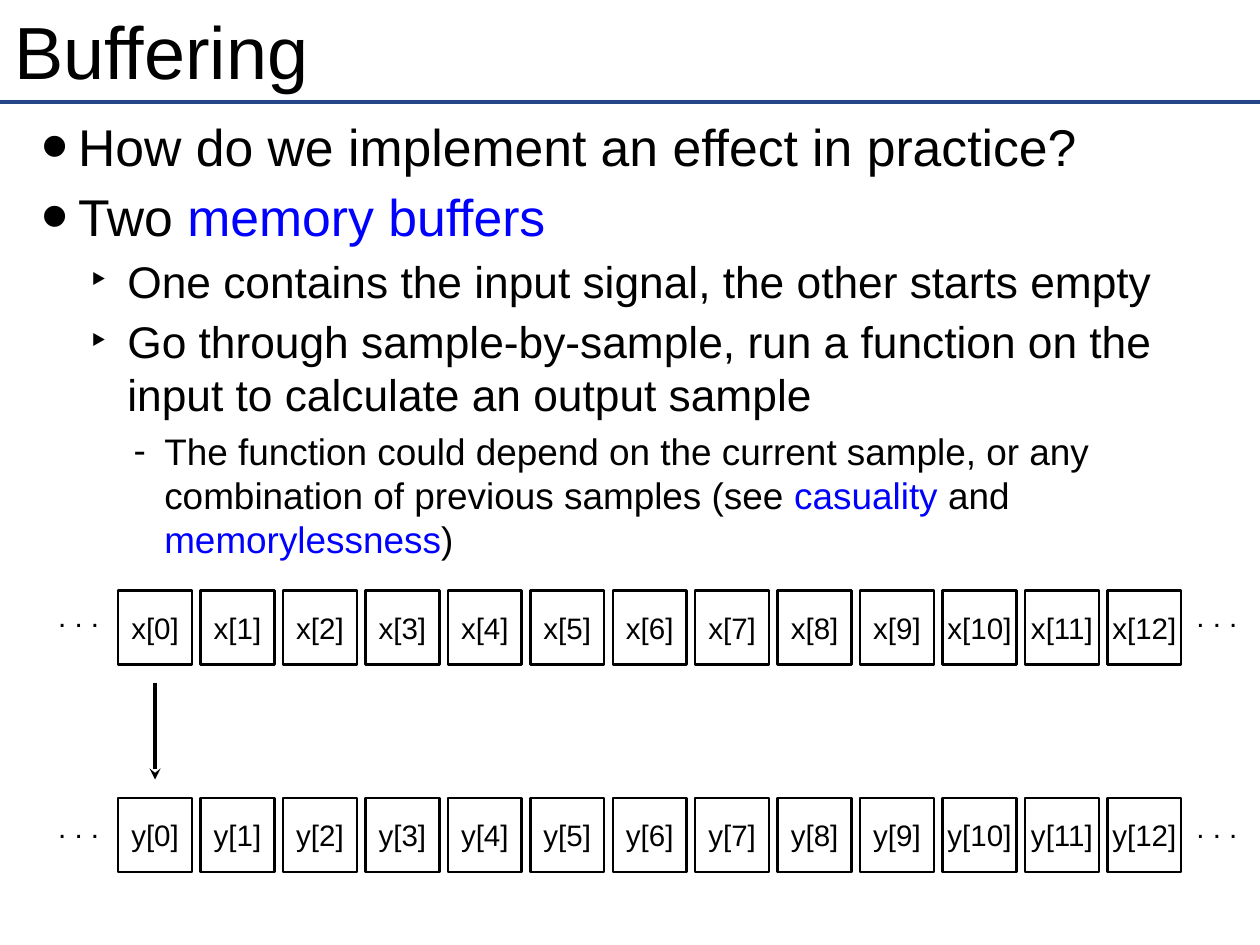
from dataclasses import dataclass

from lxml import etree
from pptx import Presentation
from pptx import util as u
from pptx.dml.color import RGBColor
from pptx.enum import shapes, text
from pptx.oxml.ns import qn


@dataclass(frozen=True)
class Theme:
    """Font, colours and type sizes of the slide."""
    font: str = "Arial"
    ink: RGBColor = RGBColor(0, 0, 0)
    accent: RGBColor = RGBColor(0, 0, 255)
    rule: RGBColor = RGBColor(0x25, 0x47, 0x89)
    title: int = 60
    levels: tuple = (42, 36, 30)
    label: int = 24


THEME = Theme()
LEVELS = (("•", 50, 30, 150), ("‣", 90, 30, 100), ("-", 120, 25, 100))
BODY = (
    (0, ("How do we implement an effect in practice?",)),
    (0, ("Two ", "memory buffers")),
    (1, ("One contains the input signal, the other starts empty",)),
    (1, ("Go through sample-by-sample, run a function on the input "
         "to calculate an output sample",)),
    (2, ("The function could depend on the current sample, or any "
         "combination of previous samples (see ", "casuality", " and ",
         "memorylessness", ")")),
)
CELLS, CELL, PITCH, BUFFER_LEFT = 13, 60, 67, 96


def style(font, size, color=THEME.ink):
    """Apply the theme font with a size and colour."""
    font.name, font.size = THEME.font, u.Pt(size)
    font.color.rgb = color


def set_frame(tf, inset, wrap, anchor):
    """Set the insets, wrapping and vertical anchor of a text frame."""
    tf.margin_left = tf.margin_right = u.Pt(inset)
    tf.margin_top = tf.margin_bottom = u.Pt(inset)
    tf.word_wrap, tf.vertical_anchor = wrap, anchor


def add_text(slide, x, y, w, h, inset=4.5, wrap=True,
             anchor=text.MSO_ANCHOR.MIDDLE):
    """Add an empty text box and return its frame."""
    tf = slide.shapes.add_textbox(u.Pt(x), u.Pt(y), u.Pt(w), u.Pt(h)).text_frame
    set_frame(tf, inset, wrap, anchor)
    return tf


def add_label(tf, words):
    """Write one centred buffer label."""
    p = tf.paragraphs[0]
    p.text, p.alignment = words, text.PP_ALIGN.CENTER
    style(p.runs[0].font, THEME.label)


def add_line(slide, x1, y1, x2, y2, color, arrow=False):
    """Draw a straight line, optionally ending in an arrowhead."""
    line = slide.shapes.add_connector(
        shapes.MSO_CONNECTOR.STRAIGHT, u.Pt(x1), u.Pt(y1), u.Pt(x2), u.Pt(y2))
    line.line.color.rgb, line.line.width = color, u.Pt(3)
    if arrow:
        etree.SubElement(line.line._get_or_add_ln(), qn("a:tailEnd"), type="stealth")
    etree.SubElement(line._element.spPr, qn("a:effectLst"))


def add_bullet(p, level):
    """Give a paragraph the bullet and hanging indent of its level."""
    char, left, hang, percent = LEVELS[level]
    p.level = level
    pPr = p._p.get_or_add_pPr()
    pPr.set("marL", str(u.Pt(left)))
    pPr.set("indent", str(-u.Pt(hang)))
    color = etree.SubElement(pPr, qn("a:buClr"))
    etree.SubElement(color, qn("a:srgbClr"), val=str(THEME.ink))
    etree.SubElement(pPr, qn("a:buSzPct"), val=str(percent * 1000))
    etree.SubElement(pPr, qn("a:buFont"), typeface=THEME.font)
    etree.SubElement(pPr, qn("a:buChar"), char=char)


def add_body(slide):
    """Write the bulleted text, with every second run accented."""
    tf = add_text(slide, 9, 89, 1009, 673, anchor=text.MSO_ANCHOR.TOP)
    for i, (level, parts) in enumerate(BODY):
        p = tf.add_paragraph() if i else tf.paragraphs[0]
        add_bullet(p, level)
        p.space_before = u.Pt(6 if i else 0)
        for j, part in enumerate(parts):
            r = p.add_run()
            r.text = part
            style(r.font, THEME.levels[level], THEME.accent if j % 2 else THEME.ink)


def add_buffer(slide, name, top, dots_top):
    """Draw a row of labelled cells between two ellipses."""
    for i in range(CELLS):
        sp = slide.shapes.add_shape(
            shapes.MSO_SHAPE.RECTANGLE, u.Pt(BUFFER_LEFT + i * PITCH),
            u.Pt(top), u.Pt(CELL), u.Pt(CELL))
        sp.shadow.inherit = False
        sp.fill.background()
        sp.line.color.rgb, sp.line.width = THEME.ink, u.Pt(2)
        set_frame(sp.text_frame, 0, False, text.MSO_ANCHOR.MIDDLE)
        add_label(sp.text_frame, f"{name}[{i}]")
    for x in (43, 968):
        add_label(add_text(slide, x, dots_top, 42, 35, 0, False), ". . .")


def main():
    """Build and save the buffering slide."""
    prs = Presentation()
    prs.slide_width, prs.slide_height = u.Pt(1024), u.Pt(768)
    s = prs.slides.add_slide(prs.slide_layouts[6])
    add_line(s, 0, 83, 1024, 83, THEME.rule)
    add_body(s)
    tf = add_text(s, 7, 4, 1009, 73)
    tf.text = "Buffering"
    style(tf.paragraphs[0].runs[0].font, THEME.title)
    add_buffer(s, "x", 480, 483)
    add_buffer(s, "y", 648.5, 654.5)
    add_line(s, 126, 555, 126, 633.5, THEME.ink, arrow=True)
    prs.save("out.pptx")


if __name__ == "__main__":
    main()
